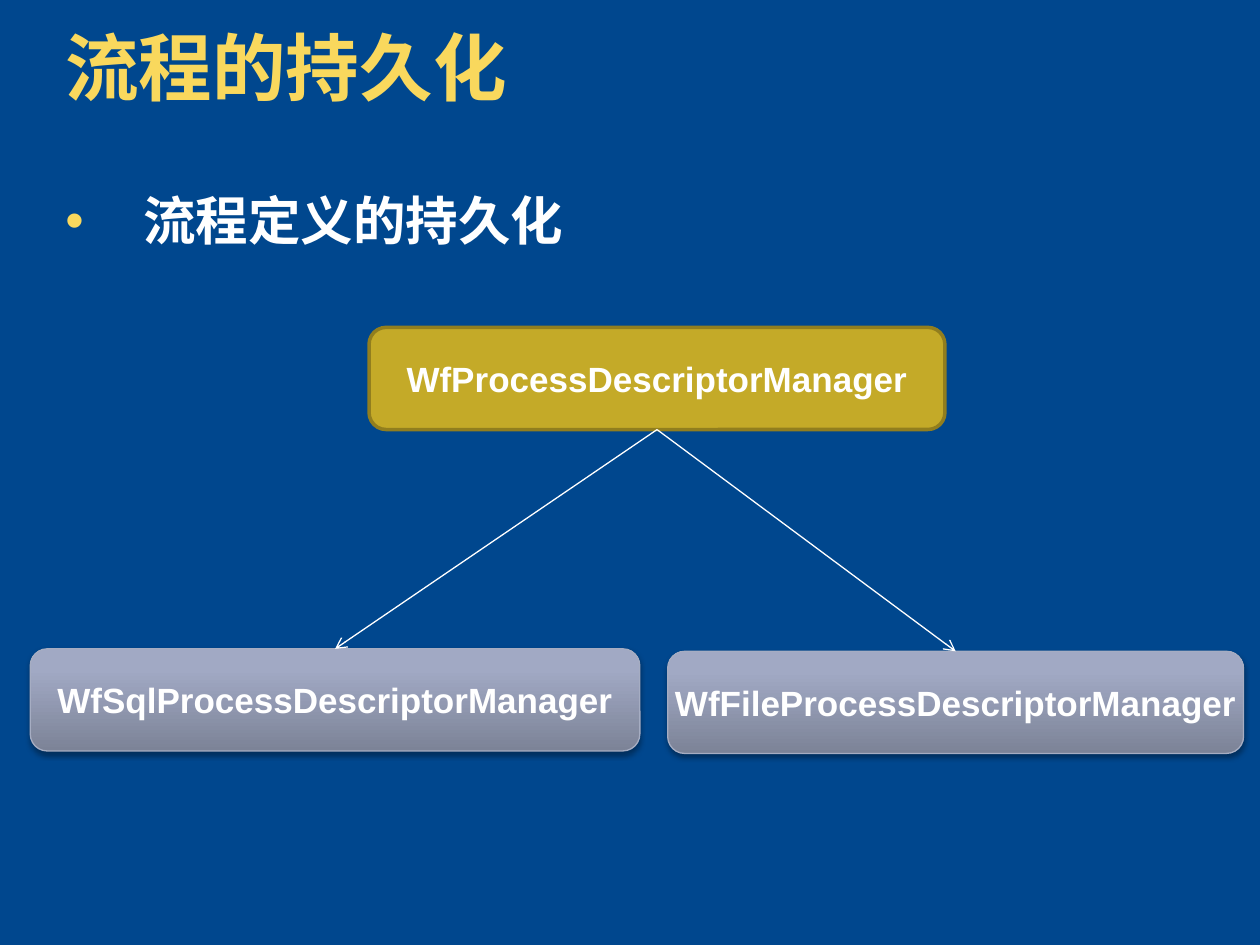
"""Build a slide on persisting process definitions through two descriptor managers."""
from lxml import etree
from pptx import Presentation
from pptx import util as u
from pptx.dml.color import RGBColor
from pptx.enum import shapes, text
from pptx.oxml.ns import qn

WHITE, YELLOW = "FFFFFF", "F9D85D"


def paint(target, value):
    target.rgb = RGBColor.from_string(value)


def write(box, words, size, colour, frame_format, paragraph_format):
    frame = box.text_frame
    for name, value in frame_format.items():
        setattr(frame, name, value)
    para = frame.paragraphs[0]
    for name, value in paragraph_format.items():
        setattr(para, name, value)
    span = para.add_run()
    span.text = words
    for name, value in {"name": "Arial", "size": u.Pt(size), "bold": True}.items():
        setattr(span.font, name, value)
    paint(span.font.color, colour)
    return para


deck = Presentation()
deck.slide_width, deck.slide_height = u.Cm(25.4), u.Cm(19.05)
page = deck.slides.add_slide(deck.slide_layouts[6])
page.background.fill.solid()
paint(page.background.fill.fore_color, "00478E")

heading_frame = {
    "word_wrap": True,
    "auto_size": text.MSO_AUTO_SIZE.SHAPE_TO_FIT_TEXT,
    "vertical_anchor": text.MSO_ANCHOR.TOP,
    "margin_top": 0,
    "margin_bottom": 0,
}
headings = [
    ("流程的持久化", 42, YELLOW, (1.07, 0.64, 20.85, 1.88)),
    ("流程定义的持久化", 30, WHITE, (1.07, 3.94, 23.29, 1.42)),
]
for words, size, colour, place in headings:
    box = page.shapes.add_textbox(*map(u.Cm, place))
    para = write(box, words, size, colour, heading_frame, {"line_spacing": 0.9})

indent = u.Cm(1.57)
properties = para._p.get_or_add_pPr()
properties.set("marL", str(indent))
properties.set("indent", str(-indent))
bullet_colour = etree.SubElement(properties, qn("a:buClr"))
etree.SubElement(bullet_colour, qn("a:srgbClr"), val=YELLOW)
etree.SubElement(properties, qn("a:buFont"), typeface="Arial")
etree.SubElement(properties, qn("a:buChar"), char="•")

label_frame = {"word_wrap": False, "vertical_anchor": text.MSO_ANCHOR.MIDDLE}
managers = [
    ("WfProcessDescriptorManager", 7.44, 6.6, 11.61, "917E1E", 2),
    ("WfSqlProcessDescriptorManager", 0.61, 13.08, 12.29, "A6ADC2", 0.75),
    ("WfFileProcessDescriptorManager", 13.46, 13.13, 11.61, "A6ADC2", 0.75),
]
boxes = []
for words, left, top, width, outline, weight in managers:
    box = page.shapes.add_shape(
        shapes.MSO_SHAPE.ROUNDED_RECTANGLE, *map(u.Cm, (left, top, width, 2.06)))
    box.shadow.inherit = False
    paint(box.line.color, outline)
    box.line.width = u.Pt(weight)
    write(box, words, 20, WHITE, label_frame, {"alignment": text.PP_ALIGN.CENTER})
    boxes.append(box)

parent, *children = boxes
parent.fill.solid()
paint(parent.fill.fore_color, "C4AA28")

for child in children:
    child.fill.gradient()
    child.fill.gradient_angle = 90
    stops = child._element.spPr.find(".//" + qn("a:gsLst"))
    for stop in list(stops):
        stops.remove(stop)
    for percent, colour in [(0, "7C8397"), (80, "A1A9C4"), (100, "A1AAC6")]:
        stop = etree.SubElement(stops, qn("a:gs"), pos=str(percent * 1000))
        etree.SubElement(stop, qn("a:srgbClr"), val=colour)
    shadow = etree.SubElement(
        child._element.spPr.find(qn("a:effectLst")), qn("a:outerShdw"),
        blurRad=str(u.Pt(3.1)), dist=str(u.Pt(1.8)), dir="5400000", rotWithShape="0")
    shade = etree.SubElement(shadow, qn("a:srgbClr"), val="000000")
    etree.SubElement(shade, qn("a:alpha"), val="35000")

    arrow = page.shapes.add_connector(shapes.MSO_CONNECTOR.STRAIGHT, 0, 0, 0, 0)
    arrow.begin_connect(parent, 2)
    arrow.end_connect(child, 0)
    paint(arrow.line.color, WHITE)
    arrow.line.width = u.Pt(0.75)
    etree.SubElement(arrow.line._get_or_add_ln(), qn("a:tailEnd"), type="arrow")
    etree.SubElement(arrow._element.spPr, qn("a:effectLst"))

deck.save("out.pptx")
